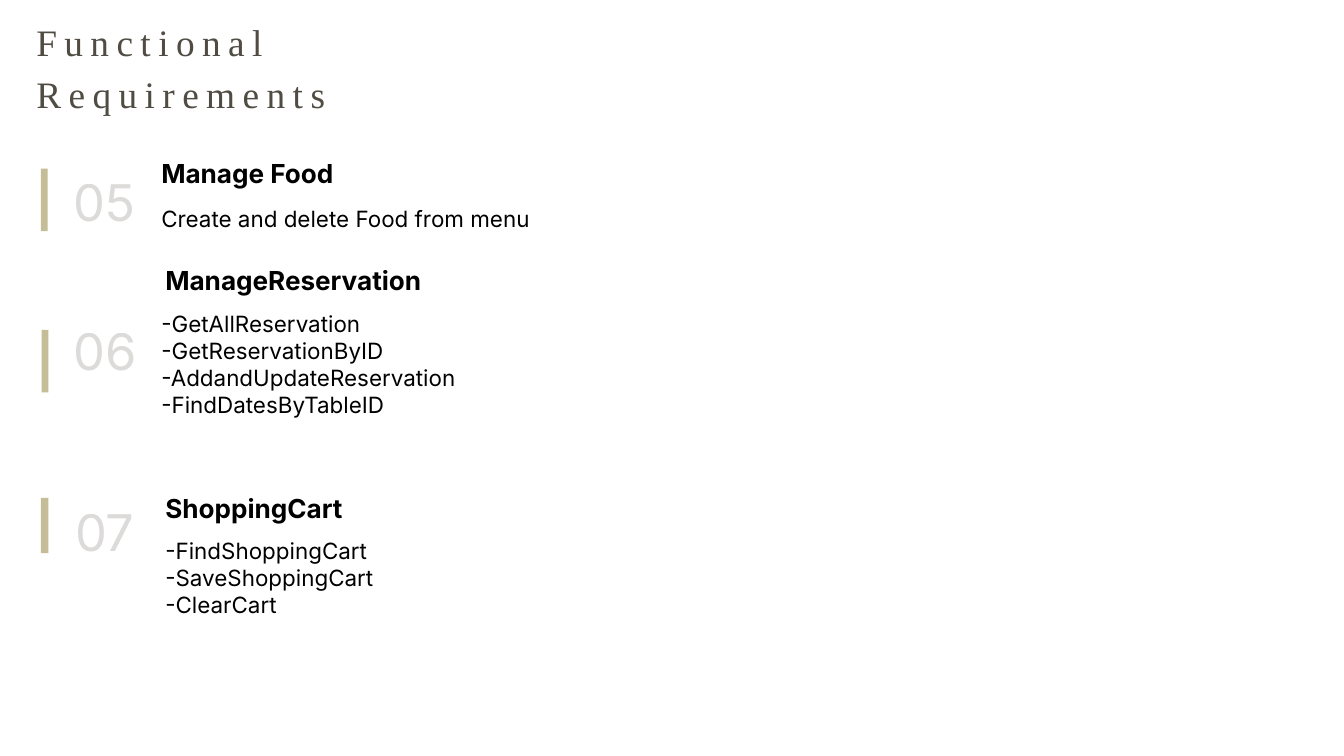
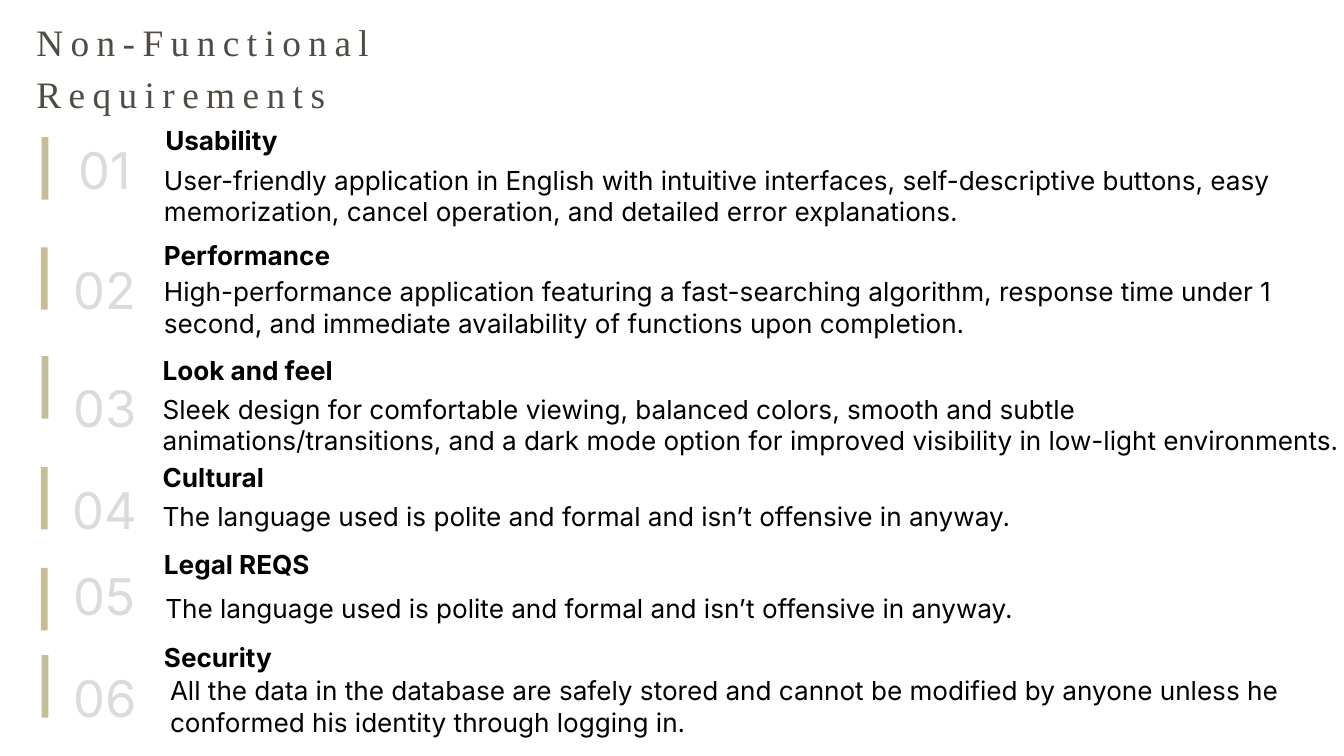
"""Build two requirement slides, each a spaced title over numbered items."""
from collections import namedtuple

from lxml.etree import SubElement
from pptx import Presentation
from pptx.dml.color import RGBColor
from pptx.enum.shapes import MSO_SHAPE as Shape
from pptx.enum.text import MSO_AUTO_SIZE as AutoSize, PP_ALIGN as Align
from pptx.oxml.ns import qn
from pptx.util import Pt

EMU_PER_PX = 9144
COLORS = {"ink": "000000", "title": "504C44", "bar": "C4BD97"}
SANS, SERIF = "Inter", "Times New Roman"

Box = namedtuple("Box", "left top width height")
Item = namedtuple("Item", "number bar number_top heading heading_box body body_box")

TITLE_BOX = Box(54, 17, 656, 154)
NUMBER_LEFT, NUMBER_WIDTH, NUMBER_HEIGHT = 94, 124, 102

FUNCTIONAL = [
    Item("05", Box(61, 251, 10, 93), -12,
         "Manage Food", Box(240, 4, 319, 29),
         "Create and delete Food from menu", Box(240, 54, 1746, 40)),
    Item("06", Box(62, 491, 10, 93), -30,
         "ManageReservation", Box(246, -78, 431, 29),
         "-GetAllReservation\n-GetReservationByID\n"
         "-AddandUpdateReservation\n-FindDatesByTableID",
         Box(240, -29, 1731, 162)),
    Item("07", Box(61, 741, 11, 82), -10,
         "ShoppingCart", Box(246, 12, 342, 29),
         "-FindShoppingCart\n-SaveShoppingCart\n-ClearCart",
         Box(246, 58, 1775, 121)),
]
NON_FUNCTIONAL = [
    Item("01", Box(62, 204, 10, 93), -13,
         "Usability", Box(246, 1, 213, 29),
         "User-friendly application in English with intuitive interfaces, "
         "self-descriptive buttons, easy memorization, cancel operation, "
         "and detailed error explanations.", Box(244, 40, 1746, 94)),
    Item("02", Box(61, 368, 10, 93), 2,
         "Performance", Box(244, 8, 259, 29),
         "High-performance application featuring a fast-searching algorithm, "
         "response time under 1 second, and immediate availability of "
         "functions upon completion.", Box(244, 42, 1731, 94)),
    Item("03", Box(62, 530, 10, 93), 16,
         "Look and feel", Box(242, 17, 342, 29),
         "Sleek design for comfortable viewing, balanced colors, smooth and "
         "subtle animations/transitions, and a dark mode option for improved "
         "visibility in low-light environments.", Box(242, 55, 1775, 94)),
    Item("04", Box(61, 695, 10, 93), 2,
         "Cultural", Box(242, 12, 293, 29),
         "The language used is polite and formal and isn’t offensive in anyway.",
         Box(242, 50, 1574, 68)),
    Item("05", Box(61, 845, 10, 93), -20,
         "Legal REQS", Box(244, -9, 418, 51),
         "The language used is polite and formal and isn’t offensive in anyway.",
         Box(246, 37, 1426, 68)),
    Item("06", Box(62, 975, 10, 93), 2,
         "Security", Box(244, 0, 239, 29),
         "All the data in the database are safely stored and cannot be modified "
         "by anyone unless he conformed his identity through logging in.",
         Box(253, 29, 1685, 94)),
]


def scaled(box, top=0):
    """Return the box in EMU, moved down by top px."""
    return [round(px * EMU_PER_PX) for px in box._replace(top=box.top + top)]


def add_text(page, box, text, size, top=0, font=SANS, color="ink", bold=False,
             line=None, align=Align.LEFT, tracking=None, alpha=None):
    """Add a text box without margins, one paragraph for each line of text."""
    frame = page.shapes.add_textbox(*scaled(box, top)).text_frame
    frame.margin_left = frame.margin_right = 0
    frame.margin_top = frame.margin_bottom = 0
    frame.word_wrap = True
    frame.auto_size = AutoSize.SHAPE_TO_FIT_TEXT
    frame.text = text
    for para in frame.paragraphs:
        para.alignment = align
        if line:
            para.line_spacing = Pt(line)
        for span in para.runs:
            span.font.name = font
            span.font.size = Pt(size)
            span.font.bold = bold
            span.font.color.rgb = RGBColor.from_string(COLORS[color])
            properties = span._r.get_or_add_rPr()
            if tracking:
                properties.set("spc", str(tracking * 100))
            if alpha:
                shade = properties.find(".//" + qn("a:srgbClr"))
                SubElement(shade, qn("a:alpha")).set("val", str(alpha * 1000))


def add_bar(page, box):
    """Add the plain accent bar beside an item."""
    bar = page.shapes.add_shape(Shape.RECTANGLE, *scaled(box))
    bar.shadow.inherit = False
    bar.fill.solid()
    bar.fill.fore_color.rgb = RGBColor.from_string(COLORS["bar"])
    bar.line.fill.background()


def add_item(page, item, body_size):
    """Place an item's bar, number, heading and body from the top of its bar."""
    top = item.bar.top
    number_box = Box(NUMBER_LEFT, item.number_top, NUMBER_WIDTH, NUMBER_HEIGHT)
    add_text(page, item.body_box, item.body, body_size, top)
    add_text(page, item.heading_box, item.heading, 28, top, bold=True, line=19.1)
    add_bar(page, item.bar)
    add_text(page, number_box, item.number, 54.2, top, color="title",
             line=75.9, align=Align.CENTER, alpha=20)


def add_requirements(deck, title, items, body_size):
    """Add a slide with a title and its numbered items."""
    page = deck.slides.add_slide(deck.slide_layouts[6])
    add_text(page, TITLE_BOX, title, 40, font=SERIF, color="title",
             line=56, tracking=8)
    for item in items:
        add_item(page, item, body_size)


def main():
    """Build and save the deck."""
    deck = Presentation()
    deck.slide_width = 2000 * EMU_PER_PX
    deck.slide_height = 1125 * EMU_PER_PX
    add_requirements(deck, "Functional\nRequirements", FUNCTIONAL, 24)
    add_requirements(deck, "Non-Functional\nRequirements", NON_FUNCTIONAL, 28)
    deck.save("out.pptx")


if __name__ == "__main__":
    main()
